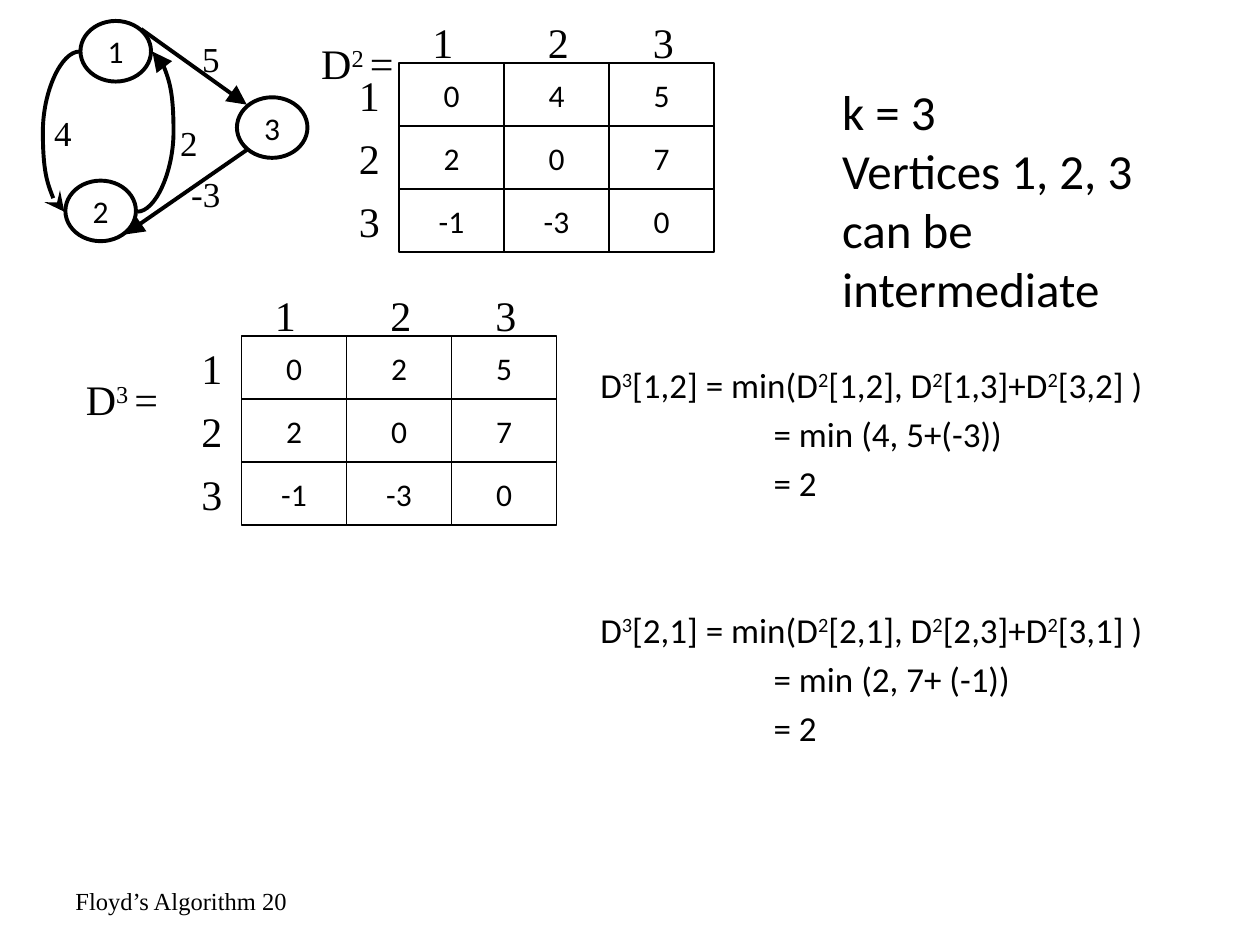
from pptx import Presentation
from pptx.dml.color import RGBColor
from pptx.enum.shapes import MSO_CONNECTOR as CONN, MSO_SHAPE as SHAPE
from pptx.enum.text import MSO_ANCHOR as ANCHOR, MSO_AUTO_SIZE as AUTO, PP_ALIGN as ALIGN
from pptx.oxml.ns import qn
from pptx.util import Pt
from lxml.etree import SubElement

BLACK = RGBColor(0, 0, 0)
SANS = "Calibri"
SERIF = "Times New Roman"
CELL_W, CELL_H = 60, 36


class Deck:
    def __init__(self, width, height):
        self.prs = Presentation()
        self.prs.slide_width, self.prs.slide_height = Pt(width), Pt(height)

    def new_slide(self):
        self.s = self.prs.slides.add_slide(self.prs.slide_layouts[5])

    def style(self, p, size, font, align=ALIGN.LEFT):
        p.alignment = align
        for r in p.runs:
            r.font.size, r.font.name = Pt(size), font
            r.font.color.rgb = BLACK

    def rich(self, p, text, size, font):
        for i, part in enumerate(text.split("^")):
            r = p.add_run()
            r.text = part
            if i % 2:
                r.font._element.set("baseline", "30000")
        self.style(p, size, font)

    def title(self, text, x, y, w, h, size):
        sp = self.s.shapes.title
        sp.left, sp.top, sp.width, sp.height = Pt(x), Pt(y), Pt(w), Pt(h)
        tf = sp.text_frame
        tf.text = text
        tf.auto_size, tf.vertical_anchor = AUTO.NONE, ANCHOR.MIDDLE
        self.style(tf.paragraphs[0], size, SANS)

    def box(self, x, y, w, h, wrap=True):
        tf = self.s.shapes.add_textbox(Pt(x), Pt(y), Pt(w), Pt(h)).text_frame
        tf.word_wrap = wrap
        return tf

    def label(self, text, x, y, w, h, size=24):
        tf = self.box(x, y, w, h, wrap=False)
        tf.auto_size = AUTO.SHAPE_TO_FIT_TEXT
        self.rich(tf.paragraphs[0], text, size, SERIF)

    def footer(self, text, x, y, w, h):
        tf = self.box(x, y, w, h)
        tf.vertical_anchor = ANCHOR.MIDDLE
        self.rich(tf.paragraphs[0], text, 14, SERIF)

    def equations(self, groups, x, y, w, h, indent, gap):
        tf = self.box(x, y, w, h)
        p = tf.paragraphs[0]
        for g, lines in enumerate(groups):
            for i, line in enumerate(lines):
                if g or i:
                    p = tf.add_paragraph()
                self.rich(p, line, 20, SANS)
                p.space_before = Pt(gap if g and not i else 4)
                if i:
                    pPr = p._p.get_or_add_pPr()
                    pPr.set("marL", str(Pt(indent)))
                    pPr.set("indent", "0")

    def shape(self, kind, text, x, y, w, h, line):
        sp = self.s.shapes.add_shape(kind, Pt(x), Pt(y), Pt(w), Pt(h))
        sp.shadow.inherit = False
        sp.fill.background()
        sp.line.color.rgb, sp.line.width = BLACK, Pt(line)
        tf = sp.text_frame
        tf.text = text
        tf.word_wrap, tf.vertical_anchor = False, ANCHOR.MIDDLE
        self.style(tf.paragraphs[0], 18, SANS, ALIGN.CENTER)

    def node(self, text, x, y):
        self.shape(SHAPE.OVAL, text, x, y, 40.3, 34.6, 2.25)

    def matrix(self, rows, x, y):
        for i, row in enumerate(rows):
            for j, value in enumerate(row):
                self.shape(SHAPE.RECTANGLE, str(value), x + j * CELL_W, y + i * CELL_H,
                           CELL_W, CELL_H, 1)
        for i, dx in enumerate((12, 78, 138)):
            self.label(str(i + 1), x + dx, y - 30, 26.5, 36)
            self.label(str(i + 1), x - 30, y + i * CELL_H, 26.5, 36)

    def edge(self, x1, y1, x2, y2, end="tailEnd", arrow="triangle", bend=None):
        kind = CONN.STRAIGHT if bend is None else CONN.CURVE
        c = self.s.shapes.add_connector(kind, Pt(x1), Pt(y1), Pt(x2), Pt(y2))
        c.line.color.rgb, c.line.width = BLACK, Pt(2.25)
        SubElement(c.line._get_or_add_ln(), qn("a:" + end), type=arrow, w="lg", len="lg")
        spPr = c._element.spPr
        SubElement(spPr, qn("a:effectLst"))
        if bend is not None:
            avLst = spPr.find(qn("a:prstGeom")).get_or_add_avLst()
            SubElement(avLst, qn("a:gd"), name="adj1", fmla=f"val {bend}")


def main():
    d = Deck(720, 540)
    d.new_slide()
    d.title("k = 3\vVertices 1, 2, 3 can be intermediate", 474, 48, 210, 132, 28)
    d.footer("Floyd’s Algorithm 20", 36, 500.4, 168, 28.8)

    d.label(" D^3 ^=", 36, 210, 63.5, 36)
    d.matrix([(0, 2, 5), (2, 0, 7), (-1, -3, 0)], 138, 192)
    d.label(" D^2 ^=", 170.5, 18, 63.5, 36)
    d.matrix([(0, 4, 5), (2, 0, 7), (-1, -3, 0)], 228, 36)

    d.equations([
        ("D^3^[1,2] = min(D^2^[1,2], D^2^[1,3]+D^2^[3,2] )", "= min (4, 5+(-3))", "= 2"),
        ("D^3^[2,1] = min(D^2^[2,1], D^2^[2,3]+D^2^[3,1] )", "= min (2, 7+ (-1))", "= 2"),
    ], 336, 204, 366, 258, indent=99, gap=60)

    for text, x, y in (("1", 46, 12), ("2", 37.4, 103.2), ("3", 135.4, 55.6)):
        d.node(text, x, y)
    d.edge(80.6, 16.6, 141, 59.8)
    d.edge(141, 85.7, 71.3, 134)
    d.edge(36.7, 121, 45.4, 29.5, end="headEnd", arrow="stealth", bend=-140600)
    d.edge(78.5, 121, 87.1, 29.5, bend=240600)
    for text, x, y, w in (("5", 108.5, 18, 24.5), ("-3", 102.2, 95, 31.2),
                          ("2", 95.8, 66, 24.5), ("4", 23.8, 60, 24.5)):
        d.label(text, x, y, w, 31, 20)

    d.prs.save("out.pptx")


if __name__ == "__main__":
    main()
